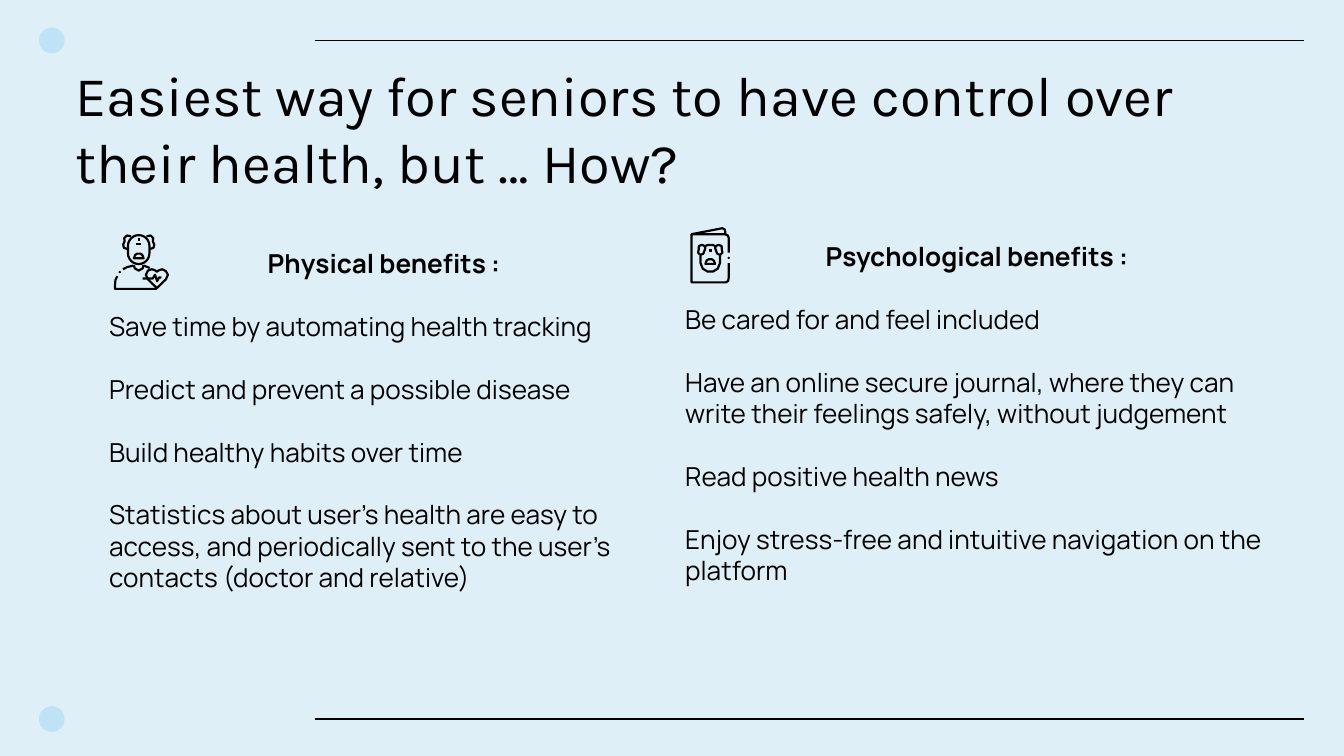
from math import cos, pi, sin

from lxml import etree
from pptx import Presentation
from pptx import util as u
from pptx.dml.color import RGBColor
from pptx.enum import shapes, text
from pptx.oxml.ns import qn


def color(value):
    return RGBColor.from_string(value)


def mirror(points, axis):
    return [(2 * axis - x, y) for x, y in points]


def arc(x, y, radius, start):
    return [(x + radius * cos(start + pi * i / 12), y + radius * sin(start + pi * i / 12))
            for i in range(13)]


def pill(x, top, bottom, radius):
    points = arc(x, top + radius, radius, pi) + arc(x, bottom - radius, radius, 0)
    return points + points[:1]


class Deck:
    INK = "010101"
    ICON = "000000"
    ACCENT = "BEE3F6"
    BACKGROUND = "DFEFF7"
    TITLE_FONT = "Karla"
    BODY_FONT = "Manrope"
    STROKE = 1.15

    def __init__(self, prs):
        self.s = prs.slides.add_slide(prs.slide_layouts[6])
        fill = self.s.background.fill
        fill.solid()
        fill.fore_color.rgb = color(self.BACKGROUND)

    def rule(self, x1, x2, y):
        sp = self.s.shapes.add_connector(
            shapes.MSO_CONNECTOR.STRAIGHT, u.Pt(x1), u.Pt(y), u.Pt(x2), u.Pt(y))
        sp.line.color.rgb = color(self.INK)
        sp.line.width = u.Pt(0.75)
        etree.SubElement(sp._element.spPr, qn("a:effectLst"))

    def dot(self, parent, x, y, size, fill):
        sp = parent.shapes.add_shape(
            shapes.MSO_SHAPE.OVAL, u.Pt(x - size / 2), u.Pt(y - size / 2), u.Pt(size), u.Pt(size))
        sp.shadow.inherit = False
        sp.fill.solid()
        sp.fill.fore_color.rgb = color(fill)
        sp.line.fill.background()

    def drawing(self, parent, *paths):
        paths = [[(u.Pt(x), u.Pt(y)) for x, y in path] for path in paths]
        builder = parent.shapes.build_freeform(*paths[0][0])
        for i, path in enumerate(paths):
            if i:
                builder.move_to(*path[0])
            builder.add_line_segments(path[1:], close=path[0] == path[-1])
        sp = builder.convert_to_shape()
        sp.shadow.inherit = False
        sp.fill.background()
        sp.line.color.rgb = color(self.ICON)
        sp.line.width = u.Pt(self.STROKE)

    def mouth(self, parent, x, y):
        half = [(x - 2.6, y), (x - 1.9, y - 1.8), (x - 0.8, y - 2.5)]
        self.drawing(parent, half + mirror(half, x)[::-1] + half[:1])

    def box(self, x, y, w, h, inset, anchor=text.MSO_ANCHOR.TOP):
        tf = self.s.shapes.add_textbox(u.Pt(x), u.Pt(y), u.Pt(w), u.Pt(h)).text_frame
        tf.word_wrap = True
        tf.vertical_anchor = anchor
        tf.margin_left = tf.margin_right = u.Pt(7.2)
        tf.margin_top = tf.margin_bottom = u.Pt(inset)
        return tf

    def run(self, p, words, font, size, bold=False):
        r = p.add_run()
        r.text = words
        r.font.name = font
        r.font.size = u.Pt(size)
        r.font.bold = bold
        r.font.color.rgb = color(self.INK)

    def title(self, words, x, y, w, h):
        tf = self.box(x, y, w, h, 7.2, text.MSO_ANCHOR.BOTTOM)
        self.run(tf.paragraphs[0], words, self.TITLE_FONT, 30)

    def benefits(self, heading, items, x, y, w, h, inset):
        tf = self.box(x, y, w, h, inset)
        p = tf.paragraphs[0]
        p.alignment = text.PP_ALIGN.CENTER
        self.run(p, heading, self.BODY_FONT, 14, bold=True)
        for item in items:
            p = tf.add_paragraph()
            p.space_before = u.Pt(16.8)
            self.run(p, item, self.BODY_FONT, 14)

    def patient_icon(self):
        icon = self.s.shapes.add_group_shape()
        axis = 74.35
        hair = [(70.2, 126.6), (68, 126.2), (66.6, 127.6), (66.8, 129.4),
                (66, 131), (66.4, 132.8), (68.2, 133.4)]
        neck = [(71.8, 142), (72.2, 143.8), (axis, 145), (76.5, 143.8), (76.9, 142)]
        body = [(62.9, 148), (61.9, 150), (61.6, 153), (61.6, 154.8), (84.1, 154.8)]
        heart = [(84.1, 154.4), (79.3, 149.7), (78.2, 147.3), (79.3, 145),
                 (81.3, 144.3), (83, 144.8), (84.1, 145.6), (85.2, 144.8),
                 (87, 144.3), (88.9, 145.3), (90, 147.3), (88.9, 149.7), (84.1, 154.4)]
        pulse = [(76.4, 149.2), (81.9, 149.2), (83.1, 147.2), (84.2, 150.8),
                 (85.2, 148.7), (86.5, 148.7)]
        self.drawing(icon, [(72.9, 130.6), (75.8, 130.6)])
        self.drawing(icon, [(73.7, 128.3), (75, 128.3)])
        self.mouth(icon, axis, 138.4)
        self.drawing(icon, pill(axis, 126, 141.5, 5.75), hair, mirror(hair, axis), neck,
                     [(65.9, 144.3), (68, 143.2), (71.5, 142.3)],
                     [(77, 142.3), (80.3, 143.6)], body, heart, pulse)
        self.dot(icon, 64.2, 145.8, 1.2, self.ICON)

    def journal_icon(self):
        icon = self.s.shapes.add_group_shape()
        axis = 380.5
        tuft = [(376, 131.2), (377.4, 131.8), (377.9, 133), (377.3, 134.6), (376.8, 136),
                (375.2, 136.6), (374, 135.5), (374.3, 133.7), (374.4, 131.9), (376, 131.2)]
        jaw = [(375.3, 137), (375.3, 141), (376.5, 144), (379, 145.5)]
        brow = [(377.7, 132), (379, 131.3)]
        page = [(390.4, 135.4), (390.4, 127.4), (389.9, 126.1), (388.4, 125.5),
                (370.5, 125.5), (370.5, 151.3), (388.8, 151.3), (390.1, 150.6),
                (390.4, 149), (390.4, 141)]
        cover = [(370.5, 125.5), (386.9, 122.3), (388.2, 122.8), (388.6, 124.2),
                 (388.6, 125.5)]
        self.drawing(icon, tuft, mirror(tuft, axis), brow + mirror(brow, axis)[::-1],
                     jaw + mirror(jaw, axis)[::-1])
        self.drawing(icon, [(379.7, 134.2), (381.3, 134.2)])
        self.mouth(icon, axis, 141.4)
        self.drawing(icon, page, cover)
        self.dot(icon, 390.4, 138.2, 1.2, self.ICON)


def main():
    prs = Presentation()
    prs.slide_width, prs.slide_height = u.Pt(720), u.Pt(405)
    deck = Deck(prs)
    for y in (21.7, 385.2):
        deck.rule(168.5, 698.4, y)
        deck.dot(deck.s, 27.7, y, 13.8, deck.ACCENT)
    deck.title("Easiest way for seniors to have control over their health, but … How?",
               33.2, 48.8, 653.8, 62.6)
    deck.benefits("Physical benefits :", [
        "Save time by automating health tracking",
        "Predict and prevent a possible disease",
        "Build healthy habits over time",
        "Statistics about user's health are easy to access, and periodically sent "
        "to the user’s contacts (doctor and relative)",
    ], 51.3, 125.5, 308.9, 231.1, 7.2)
    deck.benefits("Psychological benefits :", [
        "Be cared for and feel included",
        "Have an online secure journal, where they can write their feelings safely, "
        "without judgement",
        "Read positive health news",
        "Enjoy stress-free and intuitive navigation on the platform",
    ], 360, 125.5, 326.9, 193.7, 3.6)
    deck.patient_icon()
    deck.journal_icon()
    prs.save("out.pptx")


if __name__ == "__main__":
    main()
